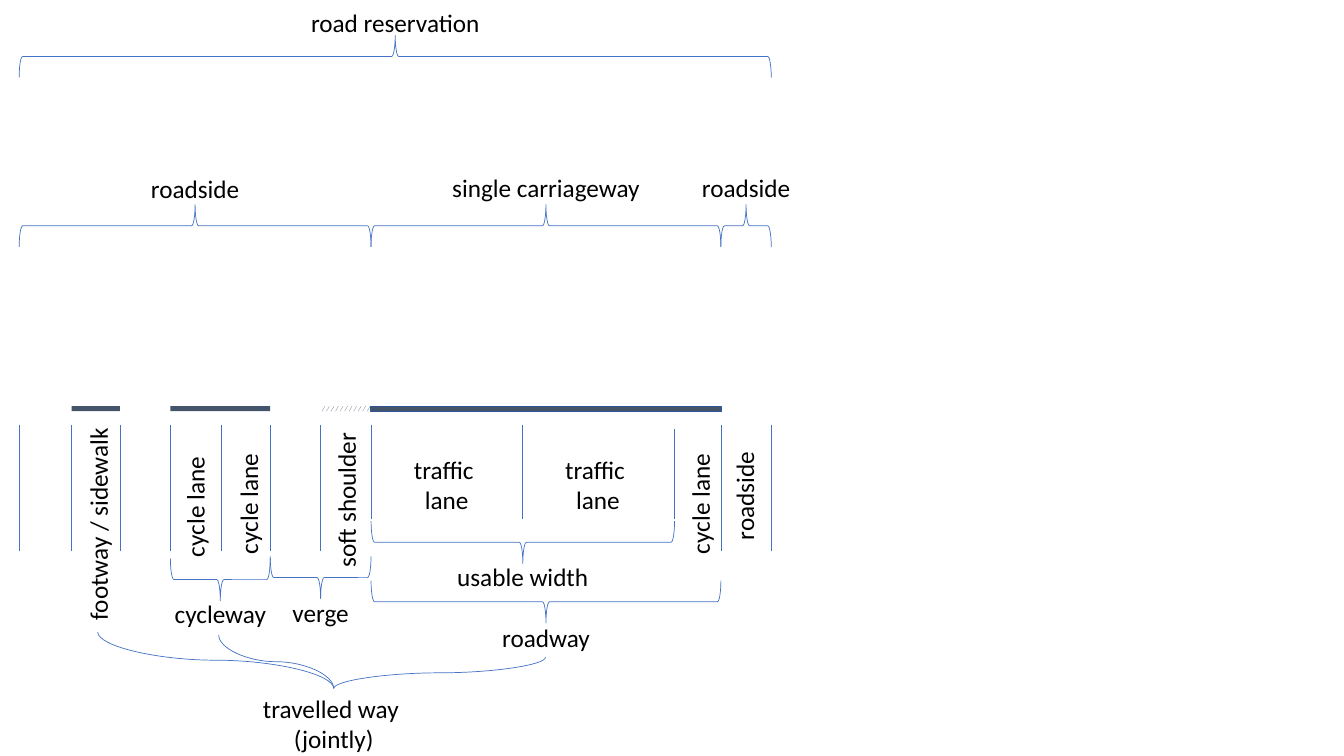
"""Build a slide naming the parts of a road cross-section."""
from pptx import Presentation
from pptx.dml.color import RGBColor
from pptx.enum.dml import MSO_PATTERN
from pptx.enum.shapes import MSO_CONNECTOR, MSO_SHAPE
from pptx.enum.text import MSO_AUTO_SIZE, PP_ALIGN
from pptx.oxml.ns import qn
from pptx.util import Inches, Pt
from lxml import etree

STRAIGHT, CURVE = MSO_CONNECTOR.STRAIGHT, MSO_CONNECTOR.CURVE
RECTANGLE, BRACE = MSO_SHAPE.RECTANGLE, MSO_SHAPE.RIGHT_BRACE
CONFETTI = MSO_PATTERN.LARGE_CONFETTI
CENTER = PP_ALIGN.CENTER
GROW = MSO_AUTO_SIZE.SHAPE_TO_FIT_TEXT

COLORS = {"line": "4472C4", "paving": "44546A", "road_edge": "325491",
          "text": "000000", "white": "FFFFFF"}
FONT = "Calibri"
BRACE_DEPTH = 0.42
EDGE = {"reservation": 0, "footway_start": 0.52, "footway_end": 1,
        "cycleway_start": 1.5, "cycle_divider": 2.01, "cycleway_end": 2.49,
        "shoulder": 2.99, "road_start": 3.49, "lane_divider": 4.99,
        "lane_end": 6.5, "road_end": 6.96, "reservation_end": 7.46}


def color(name):
    """Return the named colour."""
    return RGBColor.from_string(COLORS[name])


def add_label(slide, center_x, center_y, text, width, rotation=0):
    """Add centred text around a point."""
    height = 0.71 if "\n" in text or "\v" in text else 0.4
    label = slide.shapes.add_textbox(
        Inches(center_x - width / 2), Inches(center_y - height / 2),
        Inches(width), Inches(height))
    label.rotation = rotation
    frame = label.text_frame
    frame.word_wrap = False
    frame.auto_size = GROW
    frame.text = text
    for paragraph in frame.paragraphs:
        paragraph.alignment = CENTER
        for run in paragraph.runs:
            run.font.size = Pt(18)
            run.font.name = FONT
            run.font.color.rgb = color("text")


def add_brace(slide, start, end, top, rotation):
    """Add a horizontal brace between two positions."""
    span = end - start
    brace = slide.shapes.add_shape(
        BRACE, Inches((start + end - BRACE_DEPTH) / 2),
        Inches(top + (BRACE_DEPTH - span) / 2),
        Inches(BRACE_DEPTH), Inches(span))
    brace.rotation = rotation
    brace.shadow.inherit = False
    brace.fill.background()
    brace.line.color.rgb = color("line")
    brace.line.width = Pt(0.5)


def add_line(slide, kind, x1, y1, x2, y2):
    """Add a thin connector and return it."""
    line = slide.shapes.add_connector(
        kind, Inches(x1), Inches(y1), Inches(x2), Inches(y2))
    line.line.color.rgb = color("line")
    line.line.width = Pt(0.5)
    etree.SubElement(line._element.spPr, qn("a:effectLst"))
    return line


def add_falling_curve(slide, x1, y1, x2, y2):
    """Add a curve that leaves and arrives vertically."""
    center_x, center_y = (x1 + x2) / 2, (y1 + y2) / 2
    side = 1 if x2 > x1 else -1
    half_width, half_height = side * (x2 - x1) / 2, side * (y2 - y1) / 2
    curve = add_line(slide, CURVE,
                     center_x + half_height, center_y - half_width,
                     center_x - half_height, center_y + half_width)
    degrees = 270 if side > 0 else 90
    curve._element.spPr.find(qn("a:xfrm")).set("rot", str(degrees * 60000))


def add_spans(slide, left, top, spans, rotation):
    """Add braces with their labels."""
    for start, end, brace_y, text, label_y, width in spans:
        x1, x2 = left + EDGE[start], left + EDGE[end]
        add_brace(slide, x1, x2, top + brace_y, rotation)
        add_label(slide, (x1 + x2) / 2, top + label_y, text, width)


def add_surfaces(slide, left, top):
    """Add the strips showing paved and soft surfaces."""
    surfaces = [("footway_start", "footway_end"),
                ("cycleway_start", "cycleway_end"),
                ("shoulder", "road_start"), ("road_start", "road_end")]
    for start, end in surfaces:
        strip = slide.shapes.add_shape(
            RECTANGLE, Inches(left + EDGE[start]), Inches(top),
            Inches(EDGE[end] - EDGE[start]), Inches(0.05))
        strip.shadow.inherit = False
        if start == "shoulder":
            strip.fill.patterned()
            strip.fill.pattern = CONFETTI
            strip.fill.fore_color.rgb = color("paving")
            strip.fill.back_color.rgb = color("white")
        else:
            strip.fill.solid()
            strip.fill.fore_color.rgb = color("paving")
        if start == "road_start":
            strip.line.color.rgb = color("road_edge")
            strip.line.width = Pt(1)
        else:
            strip.line.fill.background()


def add_lanes(slide, left, top):
    """Add the dividing lines and the names between them."""
    short = ("road_start", "lane_divider", "lane_end")
    for name, offset in EDGE.items():
        x = left + offset
        start = top + (0.04 if name == "lane_end" else 0)
        depth = 0.93 if name in short else 1.25
        add_line(slide, STRAIGHT, x, start, x, top + depth)
    for offset in (4.24, 5.74):
        add_label(slide, left + offset, top + 0.59, "traffic \nlane", 0.86)
    upright = [("footway / sidewalk", 0.78, 0.98, 2.13),
               ("cycle lane", 1.74, 0.81, 1.21),
               ("cycle lane", 2.27, 0.78, 1.21),
               ("soft shoulder", 3.24, 0.74, 1.56),
               ("cycle lane", 6.75, 0.78, 1.21),
               ("roadside", 7.19, 0.7, 1.09)]
    for text, x, y, width in upright:
        add_label(slide, left + x, top + y, text, width, 270)


def add_travelled_way(slide, left, top):
    """Join footway, cycleway and roadway in one label."""
    joint_x, joint_y = left + 3.12, top + 0.56
    for x, y in ((0.78, 0), (1.98, 0.03), (5.22, 0.25)):
        add_falling_curve(slide, left + x, top + y, joint_x, joint_y)
    add_label(slide, joint_x, top + 0.91, "travelled way \v(jointly)", 1.68)


def main():
    """Build and save the slide."""
    deck = Presentation()
    deck.slide_width, deck.slide_height = Inches(13.33), Inches(7.5)
    slide = deck.slides.add_slide(deck.slide_layouts[6])
    left = 0.19
    overall = [
        ("reservation", "reservation_end", 0.35, "road reservation", 0.22, 1.89)]
    sides = [
        ("reservation", "road_start", 0.17, "roadside", 0.01, 1.09),
        ("road_start", "road_end", 0.17, "single carriageway", 0, 2.08),
        ("road_end", "reservation_end", 0.17, "roadside", 0, 1.09)]
    widths = [
        ("road_start", "lane_end", 0, "usable width", 0.55, 1.55),
        ("cycleway_start", "cycleway_end", 0.37, "cycleway", 0.92, 1.12),
        ("cycleway_end", "road_start", 0.35, "verge", 0.91, 0.77),
        ("road_start", "road_end", 0.59, "roadway", 1.15, 1.08)]
    add_spans(slide, left, 0, overall, 270)
    add_spans(slide, left, 1.86, sides, 270)
    add_surfaces(slide, left, 4.03)
    add_lanes(slide, left, 4.22)
    add_spans(slide, left, 5.17, widths, 90)
    add_travelled_way(slide, left, 6.27)
    deck.save("out.pptx")


if __name__ == "__main__":
    main()
